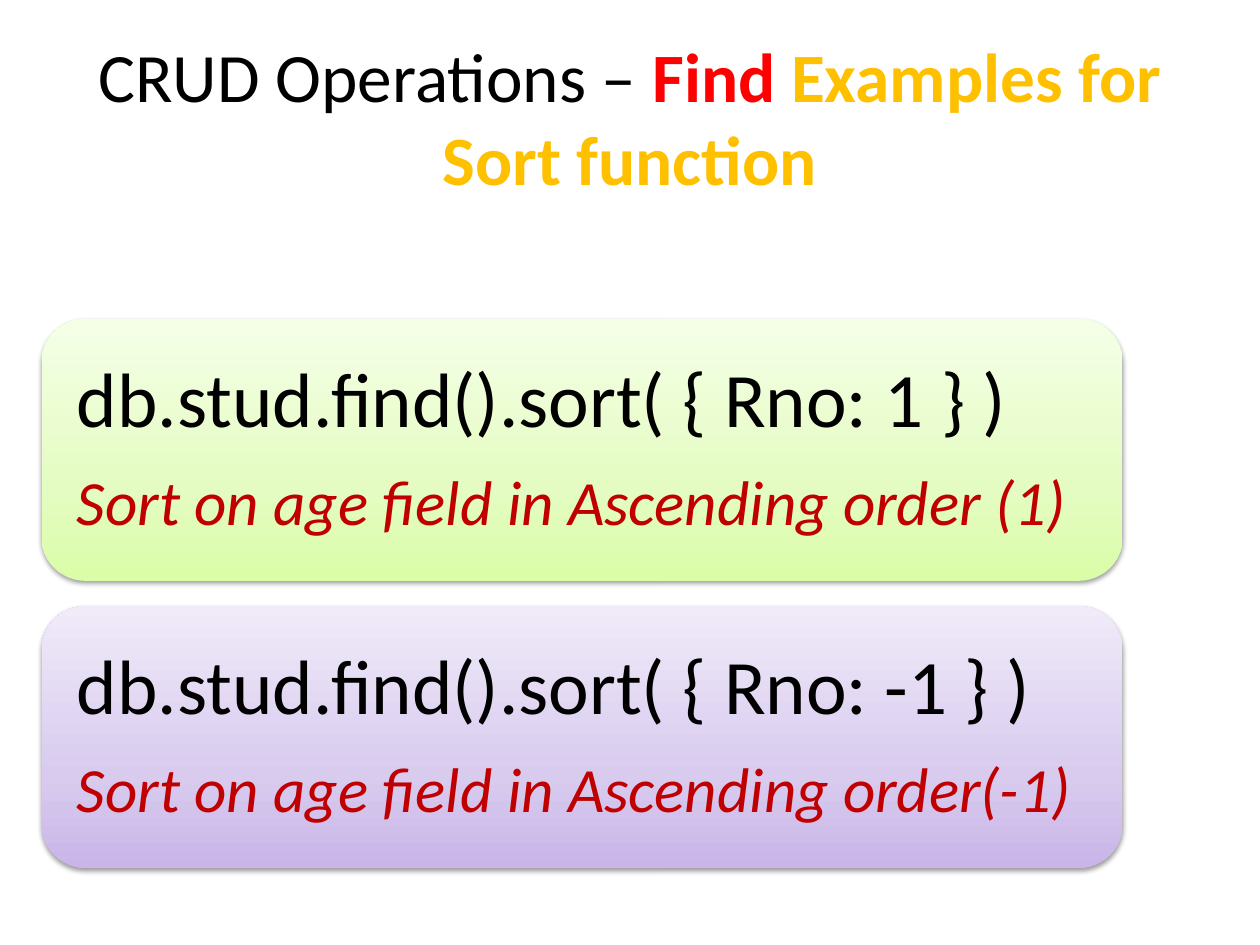
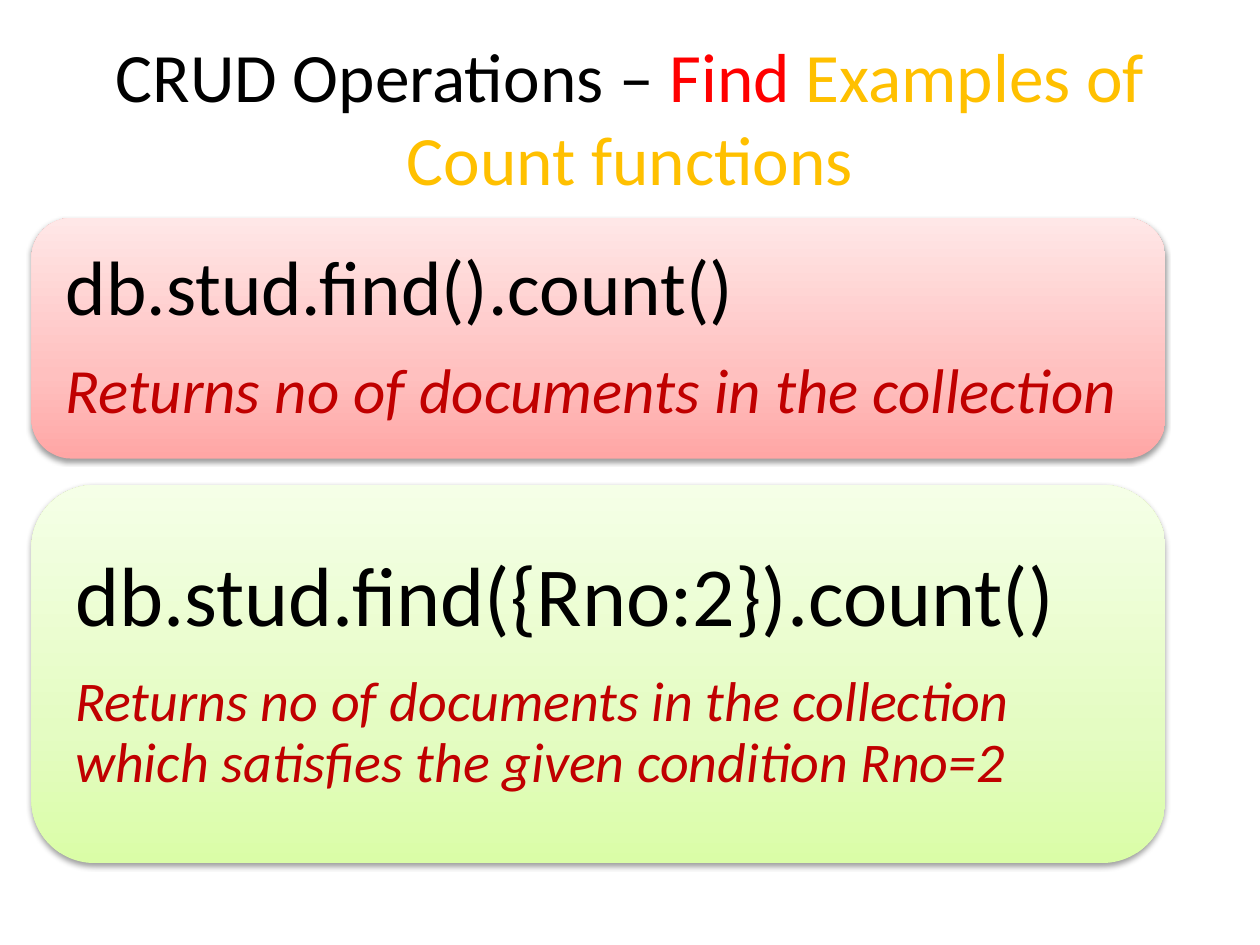
"""Build two slides on sorting and counting the results of find."""
from dataclasses import dataclass

from lxml.etree import SubElement
from pptx import Presentation
from pptx.dml.color import RGBColor
from pptx.enum.shapes import MSO_SHAPE
from pptx.enum.text import MSO_ANCHOR, PP_ALIGN
from pptx.oxml import parse_xml
from pptx.oxml.ns import nsdecls, qn
from pptx.presentation import Presentation as Deck
from pptx.shapes.autoshape import Shape
from pptx.slide import Slide
from pptx.text.text import TextFrame, _Paragraph as Paragraph
from pptx.util import Inches, Pt

FONT = "Calibri"
TITLE_SIZE = 39.6
COLORS = {
    "text": "000000",
    "find": "FF0000",
    "topic": "FFC000",
    "note": "C00000",
    "shadow": "000000",
}
GRADIENTS = {
    "green": ("DAFDA7", "E4FCC2", "F5FFE7"),
    "purple": ("C9B5E8", "D8CBEE", "F0EAF9"),
    "red": ("FFA6A5", "FFC0BF", "FFE7E7"),
}
STOPS = (0, 35, 100)


@dataclass(frozen=True)
class Card:
    """A command with its explanation on a rounded panel."""
    command: str
    note: str
    gradient: str
    height: float
    command_size: int = 44
    note_size: int = 36
    inset: float = 0.18


@dataclass(frozen=True)
class Topic:
    """A slide with a title and a column of cards."""
    title: str
    bold: bool
    left: float
    top: float
    width: float
    gap: float
    cards: tuple[Card, ...]


TOPICS = (
    Topic("Examples for Sort function", True, 0.33, 2.53, 8.58, 0.2, (
        Card("db.stud.find().sort( { Rno: 1 } )",
             "Sort on age field in Ascending order (1)", "green", 2.08),
        Card("db.stud.find().sort( { Rno: -1 } )",
             "Sort on age field in Ascending order(-1)", "purple", 2.08),
    )),
    Topic("Examples of Count functions", False, 0.25, 1.73, 9, 0.21, (
        Card("db.stud.find().count()",
             "Returns no of documents in the collection", "red", 1.91),
        Card("db.stud.find({Rno:2}).count()",
             "Returns no of documents in the collection which satisfies "
             "the given condition Rno=2", "green", 3, 48, 32, 0.2),
    )),
)


def add_run(paragraph: Paragraph, text: str, size: float, color: str,
            bold: bool = False, italic: bool = False) -> None:
    """Append one formatted run."""
    run = paragraph.add_run()
    run.text = text
    run.font.name = FONT
    run.font.size = Pt(size)
    run.font.bold = bold
    run.font.italic = italic
    run.font.color.rgb = RGBColor.from_string(COLORS[color])


def prepare_frame(shape: Shape) -> TextFrame:
    """Return the wrapping, vertically centred text frame of a shape."""
    frame = shape.text_frame
    frame.word_wrap = True
    frame.vertical_anchor = MSO_ANCHOR.MIDDLE
    return frame


def add_title(slide: Slide, topic: Topic) -> None:
    """Add the three-coloured title."""
    box = slide.shapes.add_textbox(Inches(0.5), Inches(0.3), Inches(9), Inches(1.25))
    paragraph = prepare_frame(box).paragraphs[0]
    paragraph.alignment = PP_ALIGN.CENTER
    add_run(paragraph, "CRUD Operations – ", TITLE_SIZE, "text")
    add_run(paragraph, "Find ", TITLE_SIZE, "find", topic.bold)
    add_run(paragraph, topic.title, TITLE_SIZE, "topic", topic.bold)


def style_panel(shape: Shape, gradient: str) -> None:
    """Give a panel its upward gradient and a soft shadow below."""
    shape.line.fill.background()
    shape.shadow.inherit = False
    properties = shape.element.spPr
    fill = parse_xml(f'<a:gradFill {nsdecls("a")} rotWithShape="1"><a:gsLst/>'
                     '<a:lin ang="16200000" scaled="1"/></a:gradFill>')
    for position, color in zip(STOPS, GRADIENTS[gradient]):
        stop = SubElement(fill[0], qn("a:gs"), pos=str(position * 1000))
        SubElement(stop, qn("a:srgbClr"), val=color)
    properties.find(qn("a:ln")).addprevious(fill)
    shadow = SubElement(properties.find(qn("a:effectLst")), qn("a:outerShdw"),
                        blurRad=str(Pt(3.1)), dist=str(Pt(1.6)),
                        dir="5400000", rotWithShape="0")
    color = SubElement(shadow, qn("a:srgbClr"), val=COLORS["shadow"])
    SubElement(color, qn("a:alpha"), val="38000")


def add_line(paragraph: Paragraph, text: str, size: int, color: str,
             italic: bool = False) -> None:
    """Fill one left-aligned paragraph of a card."""
    paragraph.alignment = PP_ALIGN.LEFT
    paragraph.line_spacing = 0.9
    paragraph.space_after = Pt(0.35 * size)
    add_run(paragraph, text, size, color, italic=italic)


def add_card(slide: Slide, card: Card, left: float, top: float, width: float) -> None:
    """Add a panel with its command and note."""
    shape = slide.shapes.add_shape(
        MSO_SHAPE.ROUNDED_RECTANGLE,
        Inches(left), Inches(top), Inches(width), Inches(card.height))
    style_panel(shape, card.gradient)
    frame = prepare_frame(shape)
    frame.margin_left = frame.margin_right = Inches(card.inset)
    frame.margin_top = frame.margin_bottom = Inches(card.inset)
    add_line(frame.paragraphs[0], card.command, card.command_size, "text")
    add_line(frame.add_paragraph(), card.note, card.note_size, "note", italic=True)


def add_topic(presentation: Deck, topic: Topic) -> None:
    """Add one slide with its cards stacked at equal gaps."""
    slide = presentation.slides.add_slide(presentation.slide_layouts[6])
    add_title(slide, topic)
    top = topic.top
    for card in topic.cards:
        add_card(slide, card, topic.left, top, topic.width)
        top += card.height + topic.gap


def main() -> None:
    """Create and save the presentation."""
    presentation = Presentation()
    presentation.slide_width = Inches(10)
    presentation.slide_height = Inches(7.5)
    for topic in TOPICS:
        add_topic(presentation, topic)
    presentation.save("out.pptx")


if __name__ == "__main__":
    main()
